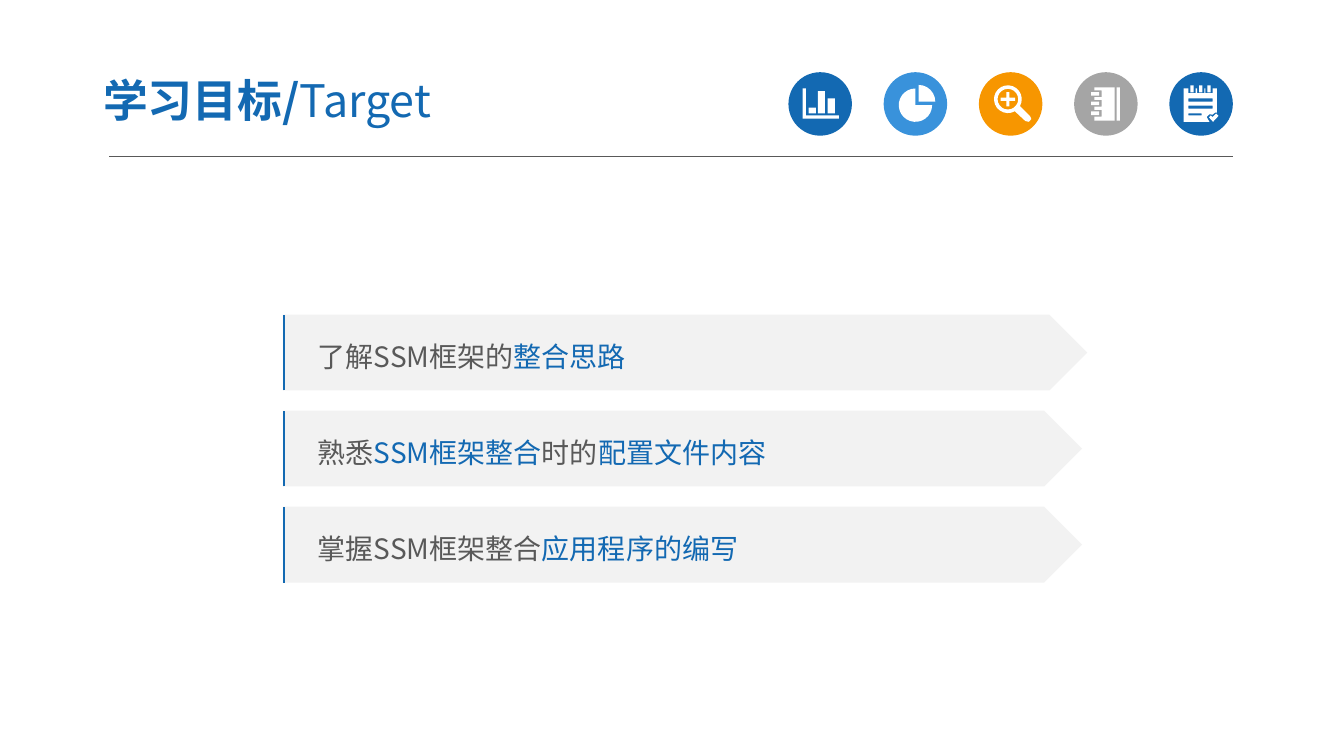
from dataclasses import dataclass
from math import cos, radians, sin

from pptx import Presentation
from pptx.dml.color import RGBColor
from pptx.enum.shapes import MSO_CONNECTOR, MSO_SHAPE
from pptx.enum.text import MSO_ANCHOR, PP_ALIGN
from pptx.oxml.ns import qn
from pptx.util import Cm, Pt

OVAL = MSO_SHAPE.OVAL
ARROW_PANEL = MSO_SHAPE.PENTAGON
STRAIGHT = MSO_CONNECTOR.STRAIGHT
MIDDLE = MSO_ANCHOR.MIDDLE
LEFT = PP_ALIGN.LEFT


@dataclass(frozen=True)
class Theme:
    font: str = "Noto Sans CJK SC"
    blue: str = "1369B2"
    sky: str = "3992DB"
    orange: str = "F79600"
    grey: str = "A5A5A5"
    white: str = "FFFFFF"
    panel: str = "F2F2F2"
    text: str = "595959"
    title_size: int = 32
    body_size: int = 20


THEME = Theme()
BADGE_SIZE = 1.6

GOALS = [
    (20.27, [("了解SSM框架的", THEME.text), ("整合思路", THEME.blue)]),
    (20.14, [("熟悉", THEME.text), ("SSM框架整合", THEME.blue),
             ("时的", THEME.text), ("配置文件内容", THEME.blue)]),
    (20.14, [("掌握SSM框架整合", THEME.text), ("应用程序的编写", THEME.blue)]),
]


# Basic elements
def paint(shape, color):
    shape.shadow.inherit = False
    shape.fill.solid()
    shape.fill.fore_color.rgb = RGBColor.from_string(color)
    shape.line.fill.background()


def add_block(shapes, kind, left, top, width, height, color):
    block = shapes.add_shape(kind, Cm(left), Cm(top), Cm(width), Cm(height))
    paint(block, color)
    return block


def add_outline(shapes, left, top, contours, color):
    """Draw closed contours as one shape; inner contours become holes."""
    builder = None
    for contour in contours:
        first, *others = [(Cm(left + x), Cm(top + y)) for x, y in contour]
        if builder is None:
            builder = shapes.build_freeform(*first)
        else:
            builder.move_to(*first)
        builder.add_line_segments(others, close=True)
    paint(builder.convert_to_shape(), color)


def add_rule(page, start, end, color, width):
    rule = page.shapes.add_connector(STRAIGHT, *map(Cm, start + end))
    rule.line.color.rgb = RGBColor.from_string(color)
    rule.line.width = Pt(width)
    rule._element.spPr.append(rule._element.makeelement(qn("a:effectLst"), {}))


def add_accent(shapes, left, top, height):
    builder = shapes.build_freeform(Cm(left), Cm(top + height))
    builder.add_line_segments([(Cm(left), Cm(top))], close=False)
    builder.move_to(Cm(left + 0.3), Cm(top))
    accent = builder.convert_to_shape()
    accent.shadow.inherit = False
    accent.fill.background()
    accent.line.color.rgb = RGBColor.from_string(THEME.blue)
    accent.line.width = Pt(1.5)


def write_text(box, spans, size, inset, spacing=1.0, before=0):
    """Fill a box with one paragraph; each span is (words, color, bold)."""
    frame = box.text_frame
    frame.word_wrap = True
    frame.vertical_anchor = MIDDLE
    frame.margin_left = Cm(inset)
    para = frame.paragraphs[0]
    para.alignment = LEFT
    para.line_spacing = spacing
    para.space_before = Pt(before)
    for words, color, bold in spans:
        span = para.add_run()
        span.text = words
        span.font.size = Pt(size)
        span.font.bold = bold
        span.font.name = THEME.font
        span.font.color.rgb = RGBColor.from_string(color)
        east_asian = span.font._element.makeelement(
            qn("a:ea"), {"typeface": THEME.font})
        span.font._element.find(qn("a:latin")).addnext(east_asian)


# Badge icons: lists of contours, in cm from the badge corner
def bar(x, y, width, height):
    return [(x, y), (x + width, y), (x + width, y + height), (x, y + height)]


def arc(x, y, radius, start=0, end=360, steps=20):
    angles = [radians(start + (end - start) * i / steps) for i in range(steps + 1)]
    return [(x + radius * cos(a), y + radius * sin(a)) for a in angles]


def chart_icon():
    axes = [(0.36, 0.41), (0.44, 0.41), (0.44, 1.09), (1.27, 1.09),
            (1.27, 1.17), (0.36, 1.17)]
    return [axes, bar(0.51, 0.89, 0.18, 0.15), bar(0.74, 0.48, 0.18, 0.56),
            bar(0.99, 0.66, 0.18, 0.38)]


def pie_icon():
    return [[(0.8, 0.83)] + arc(0.8, 0.83, 0.42, 0, 270),
            [(0.88, 0.74)] + arc(0.88, 0.74, 0.42, -90, 0, 6)]


def magnifier_icon():
    x, y, reach, half = 0.73, 0.68, 0.18, 0.04
    handle = [(1.29, 1.11), (1.32, 1.18), (1.26, 1.25), (1.17, 1.23)]
    plus = [(x - reach, y - half), (x - half, y - half), (x - half, y - reach),
            (x + half, y - reach), (x + half, y - half), (x + reach, y - half),
            (x + reach, y + half), (x + half, y + half), (x + half, y + reach),
            (x - half, y + reach), (x - half, y + half), (x - reach, y + half)]
    return [arc(x, y, 0.35, 60, 390) + handle, arc(x, y, 0.26), plus]


def notebook_icon():
    tops = [0.46, 0.7, 0.95]
    cover = [(0.51, 0.38), (1.02, 0.38), (1.02, 1.22), (0.51, 1.22)]
    for top in reversed(tops):
        cover += [(0.51, top + 0.17), (0.69, top + 0.17), (0.69, top), (0.51, top)]
    rings = [bar(0.43, top + 0.04, 0.2, 0.09) for top in tops]
    return [cover, bar(1.07, 0.38, 0.08, 0.84)] + rings


def notepad_icon():
    lefts = [0.48, 0.7, 0.91]
    sheet = [(0.36, 0.41)]
    for left in lefts:
        sheet += [(left, 0.41), (left, 0.53), (left + 0.18, 0.53), (left + 0.18, 0.41)]
    sheet += [(1.2, 0.41), (1.2, 1.02), (1.15, 1.02), (1.09, 1.07), (1.01, 1.06),
              (0.94, 1.13), (1.01, 1.25), (0.36, 1.25)]
    rings = [bar(left + 0.05, 0.33, 0.08, 0.18) for left in lefts]
    lines = [bar(0.48, 0.66, 0.61, 0.08), bar(0.48, 0.84, 0.61, 0.08),
             bar(0.48, 1.04, 0.33, 0.05)]
    check = [(1.0, 1.14), (1.04, 1.09), (1.09, 1.13),
             (1.18, 1.04), (1.24, 1.1), (1.1, 1.25)]
    return [sheet, check] + rings + lines


def add_badge(page, left, top, color, contours):
    shapes = page.shapes.add_group_shape().shapes
    add_block(shapes, OVAL, left, top, BADGE_SIZE, BADGE_SIZE, color)
    add_outline(shapes, left, top, contours, THEME.white)


# Slide sections
def add_header(page):
    add_rule(page, (2.76, 3.93), (31.07, 3.93), THEME.text, 0.5)
    badges = [(THEME.blue, chart_icon), (THEME.sky, pie_icon),
              (THEME.orange, magnifier_icon), (THEME.grey, notebook_icon),
              (THEME.blue, notepad_icon)]
    for index, (color, icon) in enumerate(badges):
        add_badge(page, 19.87 + 2.4 * index, 1.82, color, icon())
    title = page.shapes.add_textbox(Cm(2.27), Cm(1.6), Cm(13.26), Cm(1.83))
    write_text(title, [("学习目标/", THEME.blue, True), ("Target", THEME.blue, False)],
               THEME.title_size, inset=0.33, before=6.4)


def add_goal(page, top, width, spans):
    height = 1.91
    shapes = page.shapes.add_group_shape().shapes
    panel = add_block(shapes, ARROW_PANEL, 7.13, top, width, height, THEME.panel)
    write_text(panel, [(words, color, False) for words, color in spans],
               THEME.body_size, inset=0.88, spacing=1.2)
    add_accent(shapes, 7.16, top, height)


def main():
    deck = Presentation()
    deck.slide_width, deck.slide_height = Cm(33.87), Cm(19.05)
    page = deck.slides.add_slide(deck.slide_layouts[6])
    add_header(page)
    for index, (width, spans) in enumerate(GOALS):
        add_goal(page, 7.93 + 2.42 * index, width, spans)
    deck.save("out.pptx")


if __name__ == "__main__":
    main()
